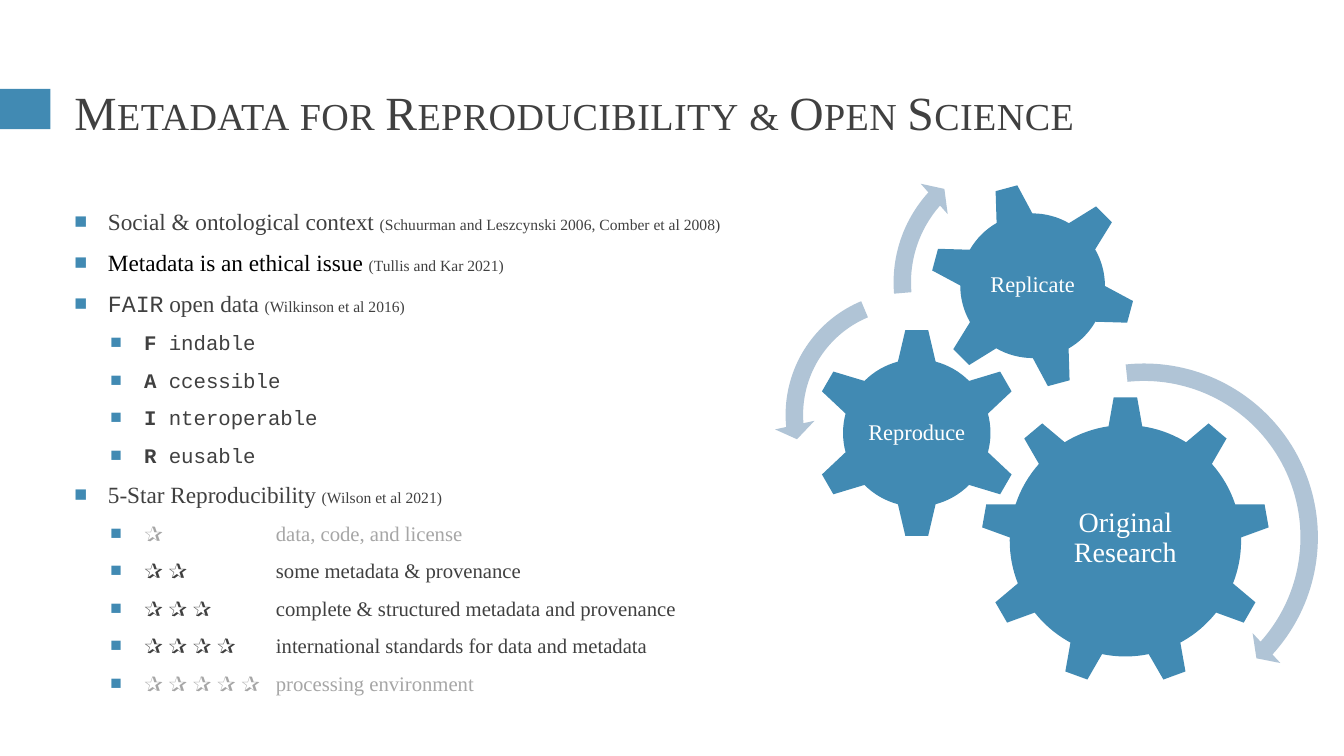
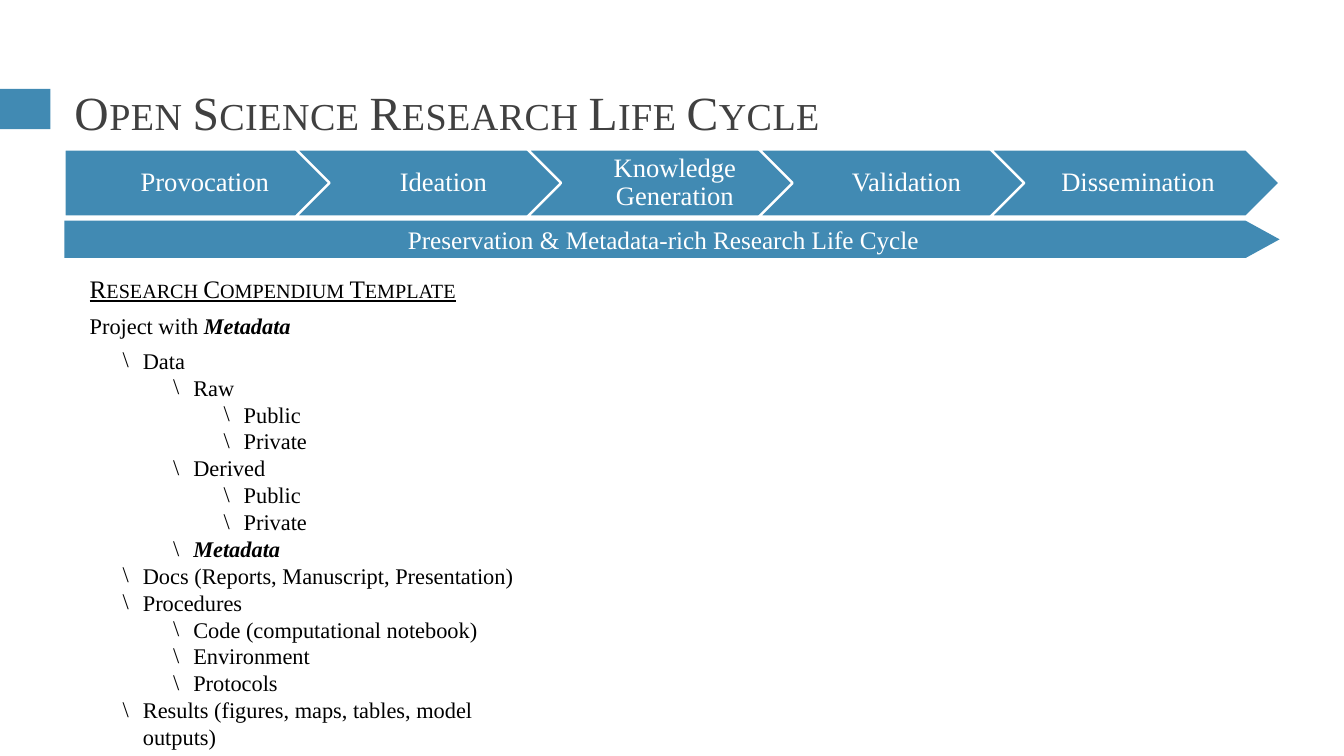
"""Build two slides on metadata, reproducibility and the open science life cycle."""
from dataclasses import dataclass

from lxml.etree import SubElement
from pptx import Presentation
from pptx.dml.color import RGBColor
from pptx.enum.shapes import MSO_SHAPE
from pptx.enum.text import MSO_ANCHOR, MSO_AUTO_SIZE, PP_ALIGN
from pptx.oxml.ns import qn
from pptx.util import Pt


@dataclass(frozen=True)
class Theme:
    """Hold the colours, fonts and type sizes of the deck."""
    accent: str = "418AB3"
    arrow: str = "B0C4D6"
    white: str = "FFFFFF"
    ink: str = "404040"
    black: str = "000000"
    muted: str = "A6A6A6"
    serif: str = "Times New Roman"
    mono: str = "Courier New"
    title: float = 34
    topic: float = 16.6
    detail: float = 14.8
    citation: float = 11.1
    large_gear: float = 20
    small_gear: float = 16
    stage: float = 19
    heading: float = 18
    tree: float = 16


THEME = Theme()

TOPICS = [
    ("Social & ontological context ", "(Schuurman and Leszcynski 2006, Comber et al 2008)", THEME.ink),
    ("Metadata is an ethical issue ", "(Tullis and Kar 2021)", THEME.black),
    (" open data ", "(Wilkinson et al 2016)", THEME.ink),
    ("5-Star Reproducibility ", "(Wilson et al 2021)", THEME.ink),
]
FAIR = ["Findable", "Accessible", "Interoperable", "Reusable"]
STARS = [
    ("✰\t\t\tdata, code, and license", THEME.muted),
    ("✰ ✰\t\tsome metadata & provenance", THEME.ink),
    ("✰ ✰ ✰\t\tcomplete & structured metadata and provenance", THEME.ink),
    ("✰ ✰ ✰ ✰\tinternational standards for data and metadata", THEME.ink),
    ("✰ ✰ ✰ ✰ ✰ \tprocessing environment", THEME.muted),
]
GEARS = [
    ("Original Research", MSO_SHAPE.GEAR_9, (700.6, 283, 206.6, 206.6), 0, THEME.large_gear),
    ("Reproduce", MSO_SHAPE.GEAR_6, (579.6, 234, 150.5, 150.5), 0, THEME.small_gear),
    ("Replicate", MSO_SHAPE.GEAR_6, (663.8, 130.3, 147.6, 147.6), -15, THEME.small_gear),
]
ARROWS = [
    (MSO_SHAPE.CIRCULAR_ARROW, (684.7, 251.3, 265, 265), 4.7, (4.98, 42.14, 263.92), 5.5),
    (MSO_SHAPE.LEFT_CIRCULAR_ARROW, (553, 200.2, 192.2, 192.2), 6.5, (7.17, 174.82, 247.3), 7.5),
    (MSO_SHAPE.CIRCULAR_ARROW, (630, 98, 207.4, 207.4), 6, (6.57, 221.9, 175.14), 7),
]
STAGES = ["Provocation", "Ideation", "Knowledge Generation", "Validation", "Dissemination"]
TREE = [
    (0, "Data"), (1, "Raw"), (2, "Public"), (2, "Private"),
    (1, "Derived"), (2, "Public"), (2, "Private"), (1, "Metadata"),
    (0, "Docs (Reports, Manuscript, Presentation)"),
    (0, "Procedures"), (1, "Code (computational notebook)"),
    (1, "Environment"), (1, "Protocols"),
    (0, "Results (figures, maps, tables, model outputs)"),
]


def points(frame):
    """Turn a frame of numbers into lengths in points."""
    return [Pt(value) for value in frame]


def set_font(font, size, color, name=THEME.serif):
    """Set typeface, size and colour."""
    font.name, font.size = name, Pt(size)
    font.color.rgb = RGBColor.from_string(color)


def add_span(paragraph, text, bold=None, italic=None):
    """Add a run of text."""
    span = paragraph.add_run()
    span.text = text
    span.font.bold, span.font.italic = bold, italic
    return span


def small_caps(span, spacing=0):
    """Show a run in small capitals."""
    properties = span._r.get_or_add_rPr()
    properties.set("cap", "small")
    if spacing:
        properties.set("spc", str(round(spacing * 100)))


def set_bullet(paragraph, symbol, margin, hanging, color=None, percent=100):
    """Give a paragraph a bullet and a hanging indent."""
    properties = paragraph._p.get_or_add_pPr()
    properties.set("marL", str(Pt(margin)))
    properties.set("indent", str(-Pt(hanging)))
    if color:
        SubElement(SubElement(properties, qn("a:buClr")), qn("a:srgbClr")).set("val", color)
    SubElement(properties, qn("a:buSzPct")).set("val", str(percent * 1000))
    SubElement(properties, qn("a:buFont")).set("typeface", THEME.serif)
    SubElement(properties, qn("a:buChar")).set("char", symbol)


def next_paragraph(text_frame):
    """Return the unused first paragraph, or a new one."""
    first = text_frame.paragraphs[0]
    return text_frame.add_paragraph() if first.runs else first


def add_text_box(page, frame, anchor=MSO_ANCHOR.TOP):
    """Add a wrapping text box and return its text frame."""
    text_frame = page.shapes.add_textbox(*points(frame)).text_frame
    text_frame.word_wrap = True
    text_frame.vertical_anchor = anchor
    return text_frame


def add_solid(page, kind, frame, color=THEME.accent, outline=None):
    """Add a filled preset shape."""
    shape = page.shapes.add_shape(kind, *points(frame))
    shape.shadow.inherit = False
    shape.fill.solid()
    shape.fill.fore_color.rgb = RGBColor.from_string(color)
    if outline:
        shape.line.color.rgb = RGBColor.from_string(outline)
        shape.line.width = Pt(1.75)
    else:
        shape.line.fill.background()
    return shape


def add_label(shape, text, size, margins, spacing=0.9):
    """Centre a white label in a shape."""
    text_frame = shape.text_frame
    text_frame.word_wrap = True
    text_frame.vertical_anchor = MSO_ANCHOR.MIDDLE
    (text_frame.margin_left, text_frame.margin_top,
     text_frame.margin_right, text_frame.margin_bottom) = points(margins)
    paragraph = text_frame.paragraphs[0]
    paragraph.alignment = PP_ALIGN.CENTER
    paragraph.line_spacing = spacing
    add_span(paragraph, text)
    set_font(paragraph.font, size, THEME.white)


def add_page(deck, title):
    """Add a slide with the side band and the title."""
    page = deck.slides.add_slide(deck.slide_layouts[5])
    add_solid(page, MSO_SHAPE.RECTANGLE, (0, 63.5, 36, 28.8))
    box = page.shapes.title
    box.left, box.top, box.width, box.height = points((46, 53.4, 868, 58))
    text_frame = box.text_frame
    text_frame.auto_size = MSO_AUTO_SIZE.NONE
    text_frame.vertical_anchor = MSO_ANCHOR.MIDDLE
    paragraph = text_frame.paragraphs[0]
    paragraph.alignment = PP_ALIGN.LEFT
    paragraph.line_spacing = 0.9
    set_font(paragraph.font, THEME.title, THEME.ink)
    small_caps(add_span(paragraph, title), 0.3)
    return page


def add_point(text_frame, level, size, color=THEME.ink, name=THEME.serif):
    """Add an empty square-bulleted paragraph."""
    paragraph = next_paragraph(text_frame)
    paragraph.level = level
    paragraph.space_before = Pt(round(size / 5, 1))
    paragraph.space_after = Pt(6)
    set_bullet(paragraph, "■", 24 + 25.8 * level, 24, THEME.accent, 92)
    set_font(paragraph.font, size, color, name)
    return paragraph


def add_topic(text_frame, text, citation, color, lead=""):
    """Add a topic followed by its small citation."""
    paragraph = add_point(text_frame, 0, THEME.topic, color)
    if lead:
        set_font(add_span(paragraph, lead).font, THEME.topic, color, THEME.mono)
    add_span(paragraph, text)
    set_font(add_span(paragraph, citation).font, THEME.citation, THEME.ink)


def add_topics(page):
    """Add the list of topics with the FAIR and star details."""
    text_frame = add_text_box(page, (46, 146, 868, 353), MSO_ANCHOR.MIDDLE)
    context, ethics, fair, stars = TOPICS
    add_topic(text_frame, *context)
    add_topic(text_frame, *ethics)
    add_topic(text_frame, *fair, lead="FAIR")
    for word in FAIR:
        paragraph = add_point(text_frame, 1, THEME.detail, name=THEME.mono)
        add_span(paragraph, word[0] + " ", bold=True)
        add_span(paragraph, word[1:])
    add_topic(text_frame, *stars)
    for text, color in STARS:
        add_span(add_point(text_frame, 1, THEME.detail, color), text)


def add_gear(page, text, kind, frame, rotation, size):
    """Add a gear whose label stays level when the gear is turned."""
    gear = add_solid(page, kind, frame)
    gear.rotation = rotation
    holder = page.shapes.add_textbox(*points(frame)) if rotation else gear
    add_label(holder, text, size, (2, 2, 2, 2))


def add_turn_arrow(page, kind, frame, thickness, angles, head):
    """Add a curved arrow from percentages and angles in degrees."""
    arrow = add_solid(page, kind, frame, THEME.arrow)
    values = [thickness / 100, *(angle * 0.6 for angle in angles), head / 100]
    for index, value in enumerate(values):
        arrow.adjustments[index] = value


def add_stages(page):
    """Add the row of life cycle stages and the band below it."""
    for index, stage in enumerate(STAGES):
        kind = MSO_SHAPE.CHEVRON if index else MSO_SHAPE.PENTAGON
        shape = add_solid(page, kind, (46 + 165.4 * index, 106.7, 206.6, 48), outline=THEME.white)
        add_label(shape, stage, THEME.stage, (6 if index else 8, 4, 2, 4))
    band = add_solid(page, MSO_SHAPE.PENTAGON, (46, 157.7, 868, 26.6))
    band.adjustments[0] = 0.91
    add_label(band, "Preservation & Metadata-rich Research Life Cycle",
              THEME.heading, (7.2, 3.6, 7.2, 3.6), 1)


def add_tree(page):
    """Add the folder tree of the research compendium."""
    text_frame = add_text_box(page, (57, 191.5, 333.4, 346))
    heading = next_paragraph(text_frame)
    span = add_span(heading, "Research Compendium Template")
    span.font.underline = True
    small_caps(span)
    project = next_paragraph(text_frame)
    add_span(project, "Project with ")
    add_span(project, "Metadata", bold=True, italic=True)
    for paragraph, size in ((heading, THEME.heading), (project, THEME.tree)):
        paragraph.space_after = Pt(6)
        set_font(paragraph.font, size, THEME.black)
    for level, text in TREE:
        paragraph = next_paragraph(text_frame)
        paragraph.level = level
        set_bullet(paragraph, "\\", 38 + 36 * level, 14.4)
        set_font(paragraph.font, THEME.tree, THEME.black)
        strong = True if text == "Metadata" else None
        add_span(paragraph, text, strong, strong)


def main():
    """Build and save the deck."""
    deck = Presentation()
    deck.slide_width, deck.slide_height = Pt(960), Pt(540)

    page = add_page(deck, "Metadata for Reproducibility & Open Science")
    add_topics(page)
    for gear in GEARS:
        add_gear(page, *gear)
    for arrow in ARROWS:
        add_turn_arrow(page, *arrow)

    page = add_page(deck, "Open Science Research Life Cycle")
    add_stages(page)
    add_tree(page)
    deck.save("out.pptx")


if __name__ == "__main__":
    main()
